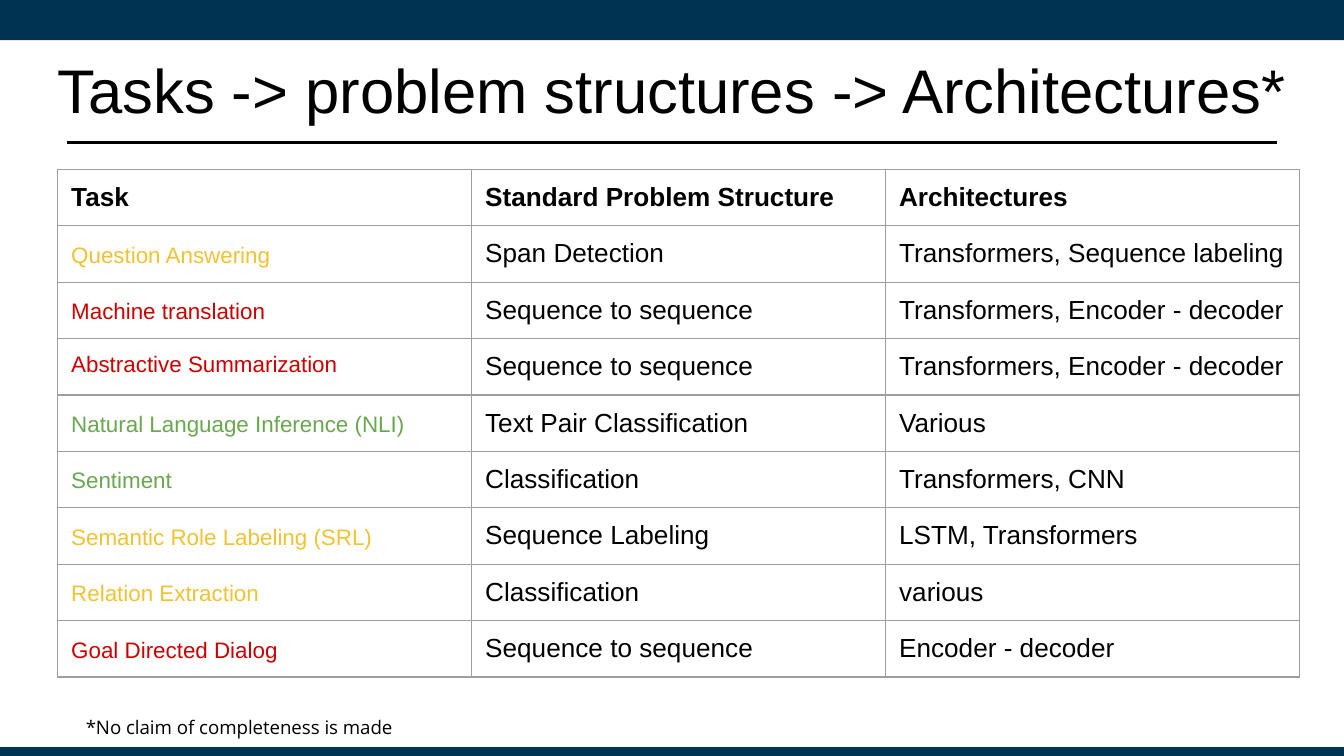
from lxml.etree import SubElement
from pptx import Presentation
from pptx.dml.color import RGBColor
from pptx.enum.shapes import MSO_CONNECTOR, MSO_SHAPE
from pptx.enum.text import MSO_ANCHOR, PP_ALIGN
from pptx.oxml.ns import qn
from pptx.util import Inches, Pt

NAVY = RGBColor(0x00, 0x32, 0x52)
BLACK = RGBColor(0x00, 0x00, 0x00)
GREY = RGBColor(0x9E, 0x9E, 0x9E)
YELLOW = RGBColor(0xF1, 0xC2, 0x32)
RED = RGBColor(0xCC, 0x00, 0x00)
GREEN = RGBColor(0x6A, 0xA8, 0x4F)

HEADINGS = ("Task", "Standard Problem Structure", "Architectures")
TASKS = [
    ("Question Answering", YELLOW, 1.15, "Span Detection", "Transformers, Sequence labeling"),
    ("Machine translation", RED, 1.15, "Sequence to sequence", "Transformers, Encoder - decoder"),
    ("Abstractive Summarization", RED, None, "Sequence to sequence", "Transformers, Encoder - decoder"),
    ("Natural Language Inference (NLI)", GREEN, 1.15, "Text Pair Classification", "Various"),
    ("Sentiment", GREEN, 1.15, "Classification", "Transformers, CNN"),
    ("Semantic Role Labeling (SRL)", YELLOW, 1.15, "Sequence Labeling", "LSTM, Transformers"),
    ("Relation Extraction", YELLOW, 1.15, "Classification", "various"),
    ("Goal Directed Dialog", RED, 1.15, "Sequence to sequence", "Encoder - decoder"),
]
COLUMN_WIDTH = 3.08
ROW_HEIGHT = 0.42


def write_text(frame, text, size=14, font="Arial", color=BLACK, bold=False,
               align=PP_ALIGN.LEFT, anchor=MSO_ANCHOR.TOP, spacing=None):
    frame.word_wrap = True
    frame.vertical_anchor = anchor
    paragraph = frame.paragraphs[0]
    paragraph.alignment = align
    paragraph.line_spacing = spacing
    run = paragraph.add_run()
    run.text = text
    run.font.size = Pt(size)
    run.font.name = font
    run.font.bold = bold
    run.font.color.rgb = color


def set_margins(box, horizontal, vertical):
    box.margin_left = box.margin_right = Inches(horizontal)
    box.margin_top = box.margin_bottom = Inches(vertical)


def add_bar(slide, top, height):
    bar = slide.shapes.add_shape(MSO_SHAPE.RECTANGLE, 0, Inches(top), Inches(10), Inches(height))
    bar.shadow.inherit = False
    bar.fill.solid()
    bar.fill.fore_color.rgb = NAVY
    bar.line.fill.background()


def add_title_rule(slide):
    rule = slide.shapes.add_connector(
        MSO_CONNECTOR.STRAIGHT, Inches(0.5), Inches(1.06), Inches(9.5), Inches(1.06))
    rule.line.color.rgb = BLACK
    rule.line.width = Pt(1.25)
    SubElement(rule._element.spPr, qn("a:effectLst"))


def add_title(slide, text):
    title = slide.shapes.title
    title.left, title.top = Inches(0), Inches(0.19)
    title.width, title.height = Inches(10), Inches(0.94)
    set_margins(title.text_frame, 0.07, 0.04)
    write_text(title.text_frame, text, size=33, align=PP_ALIGN.CENTER, anchor=MSO_ANCHOR.MIDDLE)


def add_borders(cell):
    properties = cell._tc.get_or_add_tcPr()
    for side in ("a:lnL", "a:lnR", "a:lnT", "a:lnB"):
        border = SubElement(properties, qn(side), w=str(Pt(0.75)))
        fill = SubElement(border, qn("a:solidFill"))
        SubElement(fill, qn("a:srgbClr"), val=str(GREY))


def fill_cell(cell, text, **text_format):
    set_margins(cell, 0.1, 0.1)
    add_borders(cell)
    cell.fill.background()
    write_text(cell.text_frame, text, **text_format)


def add_task_table(slide):
    row_count, column_count = len(TASKS) + 1, len(HEADINGS)
    table = slide.shapes.add_table(
        row_count, column_count, Inches(0.43), Inches(1.26),
        Inches(COLUMN_WIDTH * column_count), Inches(ROW_HEIGHT * row_count)).table
    table.first_row = False
    table.horz_banding = False
    for column in table.columns:
        column.width = Inches(COLUMN_WIDTH)
    for row in table.rows:
        row.height = Inches(ROW_HEIGHT)
    for index, heading in enumerate(HEADINGS):
        fill_cell(table.cell(0, index), heading, bold=True)
    for index, (task, color, spacing, structure, architectures) in enumerate(TASKS, start=1):
        fill_cell(table.cell(index, 0), task, size=12, color=color, spacing=spacing)
        fill_cell(table.cell(index, 1), structure)
        fill_cell(table.cell(index, 2), architectures)


def add_footnote(slide, text):
    footnote = slide.shapes.add_textbox(Inches(0.54), Inches(5.24), Inches(7.64), Inches(0.19))
    set_margins(footnote.text_frame, 0.1, 0.1)
    write_text(footnote.text_frame, text, size=10, font="Open Sans")


def main():
    presentation = Presentation()
    presentation.slide_width = Inches(10)
    presentation.slide_height = presentation.slide_width * 9 // 16
    slide = presentation.slides.add_slide(presentation.slide_layouts[5])
    add_bar(slide, 0, 0.3)
    add_bar(slide, 5.56, 0.08)
    add_title_rule(slide)
    add_title(slide, "Tasks -> problem structures -> Architectures*")
    add_task_table(slide)
    add_footnote(slide, "*No claim of completeness is made")
    presentation.save("out.pptx")


if __name__ == "__main__":
    main()
